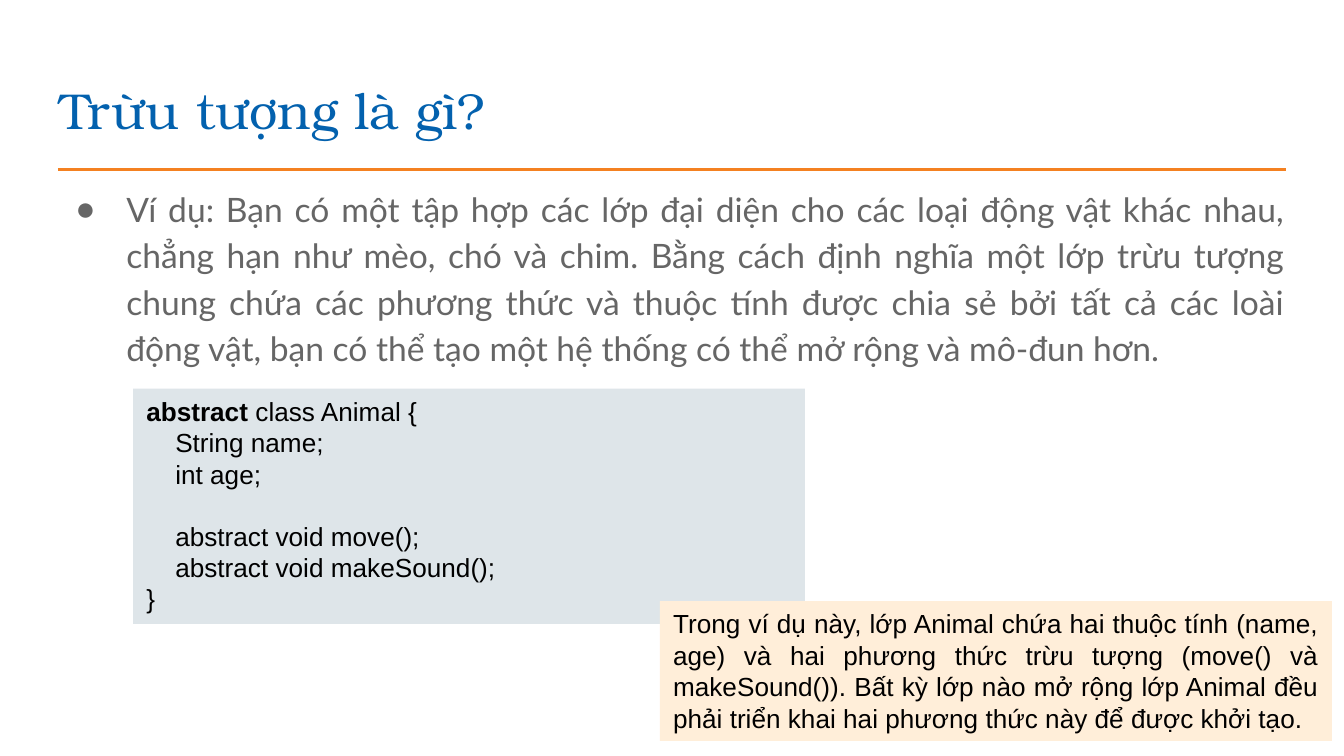
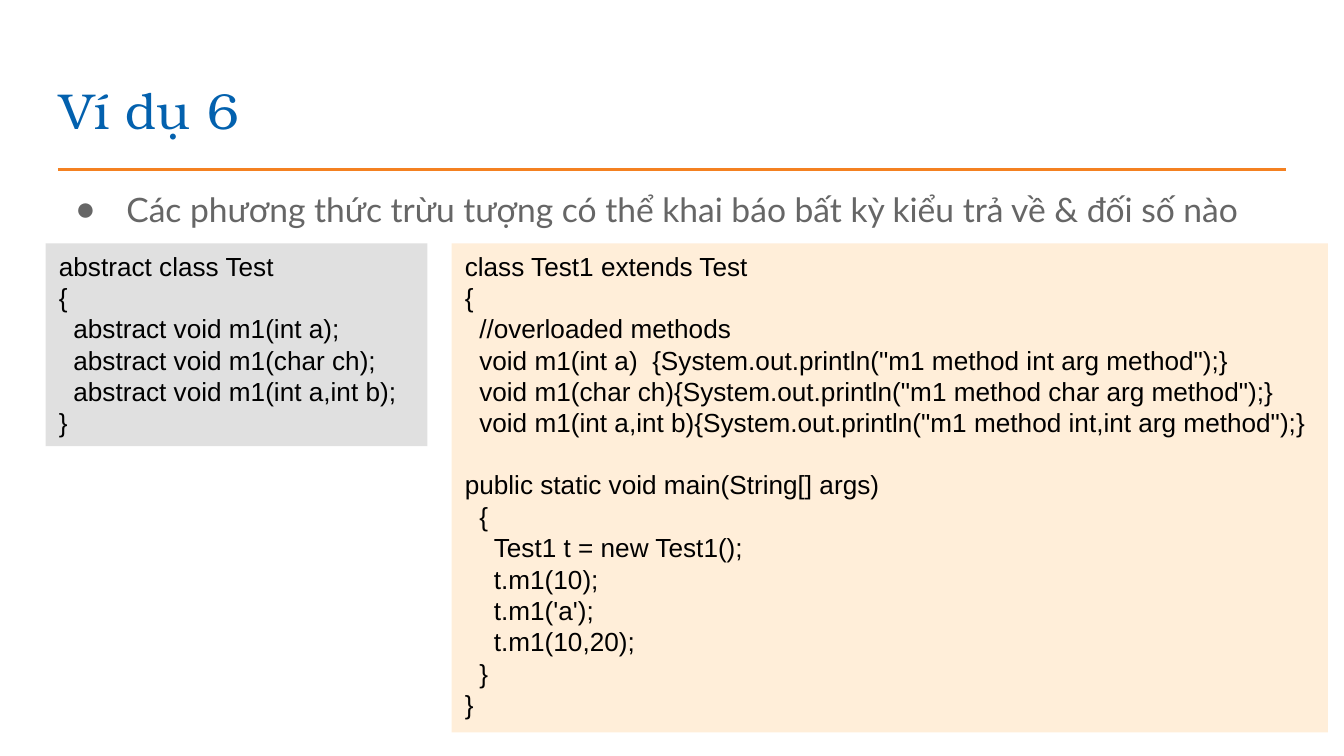
from dataclasses import dataclass

from lxml.etree import SubElement
from pptx import Presentation
from pptx.dml.color import RGBColor
from pptx.enum.shapes import MSO_CONNECTOR, MSO_SHAPE
from pptx.enum.text import MSO_ANCHOR, MSO_AUTO_SIZE, PP_ALIGN
from pptx.oxml.ns import qn
from pptx.util import Inches, Pt


@dataclass(frozen=True)
class Theme:
    heading: str = "0361AE"
    body: str = "666666"
    rule: str = "F48121"
    ink: str = "000000"
    blue_panel: str = "DEE5E9"
    gray_panel: str = "E0E0E0"
    cream_panel: str = "FFEED9"
    heading_font: str = "TeX Gyre Bonum"
    body_font: str = "Lato"
    panel_font: str = "Arial"
    heading_size: int = 27
    body_size: int = 18
    panel_size: int = 14
    code_space: float = 3.89
    code_line: float = 16.4


ANIMAL_CLASS = """abstract class Animal {
    String name;
    int age;

    abstract void move();
    abstract void makeSound();
}"""

ANIMAL_NOTE = (
    "Trong ví dụ này, lớp Animal chứa hai thuộc tính (name, age) và hai phương thức "
    "trừu tượng (move() và makeSound()). Bất kỳ lớp nào mở rộng lớp Animal đều phải "
    "triển khai hai phương thức này để được khởi tạo."
)

ABSTRACTION_EXAMPLE = (
    "Ví dụ: Bạn có một tập hợp các lớp đại diện cho các loại động vật khác nhau, "
    "chẳng hạn như mèo, chó và chim. Bằng cách định nghĩa một lớp trừu tượng chung "
    "chứa các phương thức và thuộc tính được chia sẻ bởi tất cả các loài động vật, "
    "bạn có thể tạo một hệ thống có thể mở rộng và mô-đun hơn."
)

TEST_CLASS = """abstract class Test
{
  abstract void m1(int a);
  abstract void m1(char ch);
  abstract void m1(int a,int b);
}"""

TEST1_CLASS = """class Test1 extends Test
{
  //overloaded methods
  void m1(int a)  {System.out.println("m1 method int arg method");}
  void m1(char ch){System.out.println("m1 method char arg method");}
  void m1(int a,int b){System.out.println("m1 method int,int arg method");}

public static void main(String[] args)
  {
    Test1 t = new Test1();
    t.m1(10);
    t.m1('a');
    t.m1(10,20);
  }
}"""


class Deck:
    def __init__(self, theme):
        self.theme = theme
        self.presentation = Presentation()
        self.presentation.slide_width = Inches(10)
        self.presentation.slide_height = Inches(10) * 9 // 16
        self.slide = None

    def x(self, percent):
        return round(self.presentation.slide_width * percent / 100)

    def y(self, percent):
        return round(self.presentation.slide_height * percent / 100)

    def area(self, left, top, width, height):
        return self.x(left), self.y(top), self.x(width), self.y(height)

    def style(self, paragraph, font, size, color):
        for run in paragraph.runs:
            run.font.name = font
            run.font.size = Pt(size)
            run.font.color.rgb = RGBColor.from_string(color)

    def place(self, placeholder, text, area):
        placeholder.left, placeholder.top, placeholder.width, placeholder.height = self.area(*area)
        frame = placeholder.text_frame
        frame.text = text
        frame.word_wrap = True
        frame.auto_size = MSO_AUTO_SIZE.NONE
        frame.vertical_anchor = MSO_ANCHOR.TOP
        frame.margin_left = frame.margin_right = Inches(0.1)
        frame.margin_top = frame.margin_bottom = Inches(0.1)
        return frame.paragraphs[0]

    def start(self, heading, point):
        self.slide = self.presentation.slides.add_slide(self.presentation.slide_layouts[1])
        self.title(heading)
        self.rule()
        self.bullet(point)

    def title(self, text):
        heading = self.place(self.slide.shapes.title, text, (3.4, 8.71, 93.2, 11.2))
        heading.alignment = PP_ALIGN.LEFT
        theme = self.theme
        self.style(heading, theme.heading_font, theme.heading_size, theme.heading)

    def rule(self):
        line = self.slide.shapes.add_connector(
            MSO_CONNECTOR.STRAIGHT, self.x(4.3), self.y(22.4), self.x(95.7), self.y(22.4)
        )
        line.line.color.rgb = RGBColor.from_string(self.theme.rule)
        line.line.width = Pt(1.5)
        SubElement(line._element.spPr, qn("a:effectLst"))

    def bullet(self, text):
        theme = self.theme
        point = self.place(self.slide.placeholders[1], text, (3.4, 22.4, 93.2, 66.49))
        point.alignment = PP_ALIGN.JUSTIFY
        point.line_spacing = 1.15
        point.space_before = Pt(0)
        self.style(point, theme.body_font, theme.body_size, theme.body)
        properties = point._p.get_or_add_pPr()
        properties.set("marL", str(Inches(0.5)))
        properties.set("indent", str(Inches(-0.38)))
        SubElement(SubElement(properties, qn("a:buClr")), qn("a:srgbClr"), val=theme.body)
        SubElement(properties, qn("a:buFont"), typeface=theme.panel_font)
        SubElement(properties, qn("a:buChar"), char="●")

    def panel(self, fill, area):
        panel = self.slide.shapes.add_shape(MSO_SHAPE.RECTANGLE, *self.area(*area))
        panel.shadow.inherit = False
        panel.fill.solid()
        panel.fill.fore_color.rgb = RGBColor.from_string(fill)
        panel.line.fill.background()
        frame = panel.text_frame
        frame.word_wrap = True
        frame.auto_size = MSO_AUTO_SIZE.SHAPE_TO_FIT_TEXT
        frame.vertical_anchor = MSO_ANCHOR.TOP
        return frame

    def panel_line(self, paragraph, alignment):
        paragraph.alignment = alignment
        theme = self.theme
        self.style(paragraph, theme.panel_font, theme.panel_size, theme.ink)

    def note(self, text, fill, area):
        frame = self.panel(fill, area)
        frame.text = text
        self.panel_line(frame.paragraphs[0], PP_ALIGN.JUSTIFY)

    def code(self, source, fill, area, bold_start=""):
        frame = self.panel(fill, area)
        lines = source.splitlines()
        statements = [line for line in lines if line]
        frame.text = "\n".join(line.lstrip() for line in statements)
        if bold_start:
            opening = frame.paragraphs[0]
            opening.text = bold_start
            opening.runs[0].font.bold = True
            opening.add_run().text = statements[0].removeprefix(bold_start)
        after_gap = {following for line, following in zip(lines, lines[1:]) if not line}
        for line, paragraph in zip(statements, frame.paragraphs):
            self.panel_line(paragraph, PP_ALIGN.LEFT)
            depth = len(line) - len(line.lstrip())
            paragraph._p.get_or_add_pPr().set("marL", str(Pt(depth * self.theme.code_space)))
            if line in after_gap:
                paragraph.space_before = Pt(self.theme.code_line)


def main():
    theme = Theme()
    deck = Deck(theme)

    deck.start("Trừu tượng là gì?", ABSTRACTION_EXAMPLE)
    deck.code(ANIMAL_CLASS, theme.blue_panel, (9.9, 51.42, 50, 31.11), "abstract")
    deck.note(ANIMAL_NOTE, theme.cream_panel, (49.1, 79.54, 50, 18.49))

    deck.start(
        "Ví dụ 6",
        "Các phương thức trừu tượng có thể khai báo bất kỳ kiểu trả về & đối số nào",
    )
    deck.code(TEST_CLASS, theme.gray_panel, (3.4, 32.18, 28.4, 26.84))
    deck.code(TEST1_CLASS, theme.cream_panel, (33.6, 32.18, 65.2, 64.71))

    deck.presentation.save("out.pptx")


if __name__ == "__main__":
    main()
